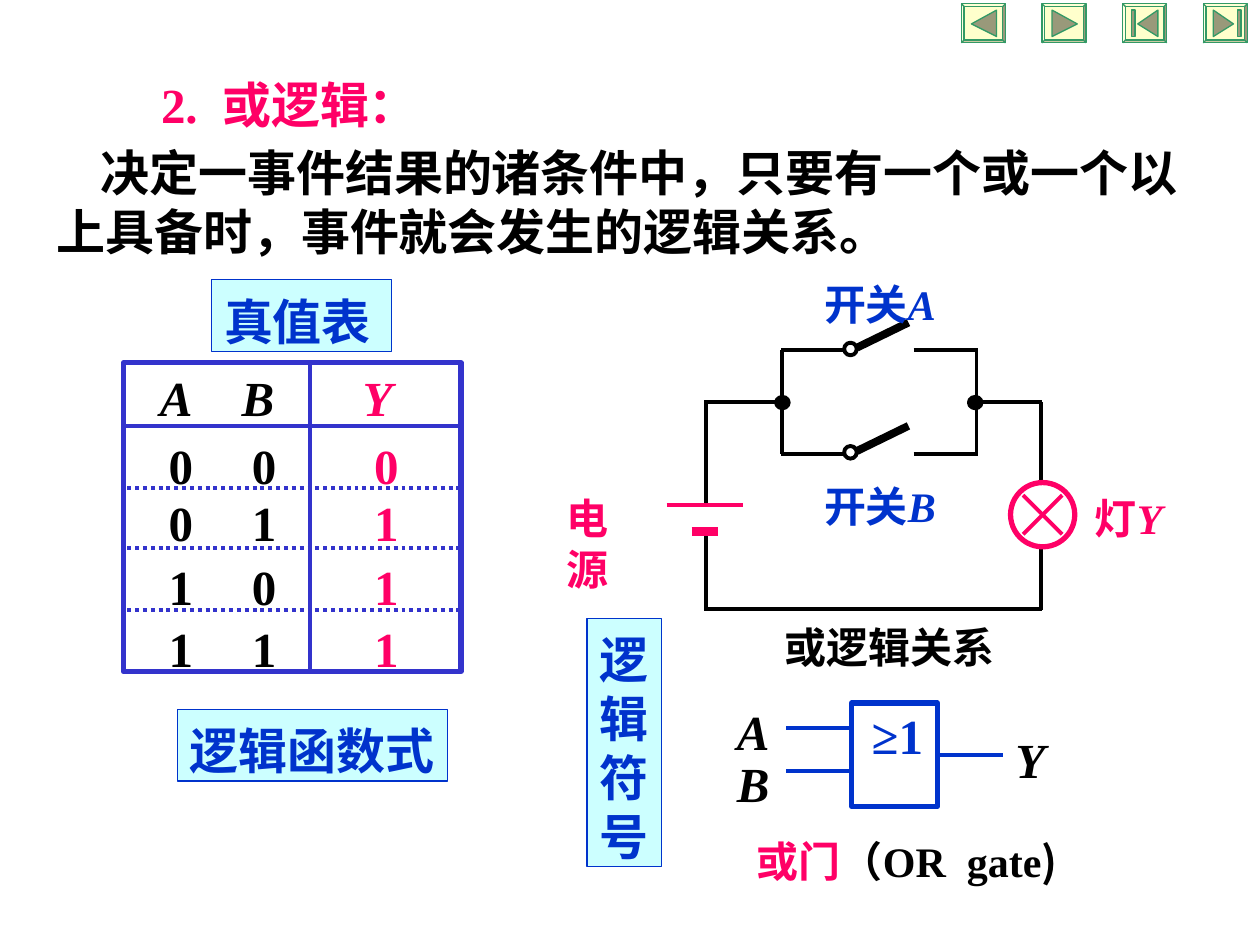
from lxml.etree import SubElement
from pptx import Presentation
from pptx.dml.color import RGBColor
from pptx.enum.dml import MSO_LINE
from pptx.enum.shapes import MSO_CONNECTOR, MSO_SHAPE
from pptx.enum.text import MSO_ANCHOR, PP_ALIGN
from pptx.oxml.ns import qn
from pptx.util import Inches, Pt

BLACK = RGBColor(0x00, 0x00, 0x00)
PINK = RGBColor(0xFF, 0x00, 0x66)
BLUE = RGBColor(0x00, 0x33, 0xCC)
GRID = RGBColor(0x33, 0x33, 0xCC)
CYAN = RGBColor(0xCC, 0xFF, 0xFF)
CREAM = RGBColor(0xFF, 0xFF, 0xCC)
OLIVE = RGBColor(0x99, 0x99, 0x7A)
GREEN = RGBColor(0x33, 0x99, 0x66)
SERIF = "Times New Roman"
SANS = "Noto Sans CJK SC"


class Page:
    def __init__(self, deck):
        self.shapes = deck.slides.add_slide(deck.slide_layouts[6]).shapes

    def paint(self, shape, fill, color, weight):
        shape.shadow.inherit = False
        if fill is None:
            shape.fill.background()
        else:
            shape.fill.solid()
            shape.fill.fore_color.rgb = fill
        shape.line.color.rgb = color
        shape.line.width = Pt(weight)
        return shape

    def shape(self, kind, left, top, width, height, color, weight, fill=None):
        shape = self.shapes.add_shape(
            kind, Inches(left), Inches(top), Inches(width), Inches(height))
        return self.paint(shape, fill, color, weight)

    def outline(self, points, color, weight, fill):
        start, *rest = [(Inches(x), Inches(y)) for x, y in points]
        builder = self.shapes.build_freeform(*start)
        builder.add_line_segments(rest, close=True)
        return self.paint(builder.convert_to_shape(), fill, color, weight)

    def line(self, x1, y1, x2, y2, color=BLACK, weight=2.25, dash=None):
        line = self.shapes.add_connector(
            MSO_CONNECTOR.STRAIGHT, Inches(x1), Inches(y1), Inches(x2), Inches(y2))
        line.line.color.rgb = color
        line.line.width = Pt(weight)
        if dash is not None:
            line.line.dash_style = dash
        SubElement(line._element.spPr, qn("a:effectLst"))

    def set_text(self, box, paragraphs, size, inset=True, wrap=False, indent=0):
        frame = box.text_frame
        frame.word_wrap = wrap
        frame.vertical_anchor = MSO_ANCHOR.TOP
        chinese = any(ord(letter) > 0x2E80
                      for spans in paragraphs for text, *_ in spans for letter in text)
        side, edge = (0.1, 0.05) if inset else (0, 0)
        frame.margin_left = frame.margin_right = Inches(side)
        frame.margin_top = Inches(edge + (0.04 if chinese else 0.01))
        frame.margin_bottom = 0
        for index, spans in enumerate(paragraphs):
            para = frame.add_paragraph() if index else frame.paragraphs[0]
            para.alignment = PP_ALIGN.LEFT
            para.line_spacing = Pt(size * 1.2)
            if indent:
                para._p.get_or_add_pPr().set("indent", str(Inches(indent)))
            for text, color, font, italic in spans:
                span = para.add_run()
                span.text = text
                span.font.size = Pt(size)
                span.font.bold = True
                span.font.italic = italic
                span.font.color.rgb = color
                span.font.name = font
                SubElement(span._r.get_or_add_rPr(), qn("a:ea"), typeface=SANS)

    def text(self, left, top, width, height, spans, size=28, **layout):
        box = self.shapes.add_textbox(
            Inches(left), Inches(top), Inches(width), Inches(height))
        self.set_text(box, [spans], size, **layout)

    def symbol(self, left, top, text, color=BLACK, italic=False, width=0.59):
        self.text(left, top, width, 0.57, [(text, color, SERIF, italic)], wrap=True)

    def label(self, left, top, width, height, lines):
        box = self.shape(MSO_SHAPE.RECTANGLE, left, top, width, height, BLUE, 0.75, CYAN)
        self.set_text(box, [[(text, BLUE, SERIF, False)] for text in lines], 28)

    def switch(self, level, caption_top, name):
        self.line(6.8, level - 0.02, 7.21, level - 0.22, weight=4.5)
        self.shape(MSO_SHAPE.OVAL, 6.7, level - 0.06, 0.1, 0.1, BLACK, 2.25)
        self.line(6.2, level, 6.7, level)
        self.line(7.25, level, 7.76, level)
        self.text(6.54, caption_top, 0.97, 0.4,
                  [("开关", BLUE, SERIF, False), (name, BLUE, SERIF, True)],
                  24, inset=False)

    def button(self, left, direction, bar):
        frame = self.shape(MSO_SHAPE.BEVEL, left, 0.03, 0.35, 0.31, GREEN, 0.75, CREAM)
        frame.adjustments[0] = 0.07
        center = left + 0.18
        back = center - direction * 0.1
        tip = center + direction * (0.06 if bar else 0.1)
        if bar:
            self.shape(MSO_SHAPE.RECTANGLE, center + direction * 0.1 - 0.01, 0.08,
                       0.03, 0.21, GREEN, 0.75, OLIVE)
        self.outline([(back, 0.08), (tip, 0.19), (back, 0.29)], GREEN, 0.75, OLIVE)


def draw_heading(page):
    page.text(1.18, 0.5, 2.33, 0.57, [("2.  或逻辑：", PINK, SERIF, False)])
    definition = "决定一事件结果的诸条件中，只要有一个或一个以上具备时，事件就会发生的逻辑关系。"
    page.text(0.35, 1.04, 9.23, 1.04, [(definition, BLACK, SANS, False)],
              wrap=True, indent=0.35)


def draw_circuit(page):
    page.switch(2.78, 2.17, "A")
    page.switch(3.6, 3.77, "B")
    wires = [
        (6.2, 3.19, 5.59, 3.19), (5.6, 3.19, 5.6, 4.01), (5.6, 4.22, 5.6, 4.83),
        (5.59, 4.83, 8.27, 4.83), (8.26, 4.84, 8.26, 4.36), (8.26, 3.81, 8.26, 3.19),
        (8.27, 3.19, 7.75, 3.19), (6.21, 2.78, 6.21, 3.6), (7.75, 2.78, 7.75, 3.6),
    ]
    for wire in wires:
        page.line(*wire)
    for left in (6.16, 7.69):
        page.shape(MSO_SHAPE.OVAL, left, 3.15, 0.1, 0.09, BLACK, 2.25, BLACK)
    page.line(5.29, 4.01, 5.9, 4.01, PINK, 2.5)
    page.line(5.49, 4.22, 5.7, 4.22, PINK, 4.88)
    page.line(8.12, 3.93, 8.43, 4.24, PINK)
    page.line(8.43, 3.93, 8.12, 4.24, PINK)
    page.shape(MSO_SHAPE.OVAL, 8.02, 3.83, 0.51, 0.51, PINK, 3)
    page.text(4.4, 3.82, 0.86, 0.5, [("电源", PINK, SERIF, False)], 24)
    page.text(8.69, 3.87, 0.75, 0.4,
              [("灯", PINK, SERIF, False), ("Y", PINK, SERIF, True)],
              24, inset=False, wrap=True)
    page.text(6.23, 4.89, 3.5, 0.4, [("或逻辑关系", BLACK, SANS, False)],
              24, inset=False, wrap=True)


def draw_truth_table(page):
    page.shape(MSO_SHAPE.RECTANGLE, 0.98, 2.88, 2.68, 2.45, GRID, 3)
    page.line(0.97, 3.38, 3.65, 3.38, GRID)
    page.line(2.46, 2.87, 2.46, 5.35, GRID)
    for level in (3.87, 4.35, 4.84):
        page.line(1.01, level, 3.67, level, GRID, dash=MSO_LINE.ROUND_DOT)
    for left, name, color in ((1.17, "A", BLACK), (1.82, "B", BLACK), (2.78, "Y", PINK)):
        page.symbol(left, 2.86, name, color, True, 0.48)
    for top, row in zip((3.4, 3.85, 4.36, 4.85), ("000", "011", "101", "111")):
        for left, digit, color in zip((1.24, 1.9, 2.87), row, (BLACK, BLACK, PINK)):
            page.symbol(left, top, digit, color)


def draw_gate(page):
    page.shape(MSO_SHAPE.RECTANGLE, 6.76, 5.58, 0.68, 0.82, BLUE, 3)
    for left, level in ((6.24, 5.78), (6.24, 6.12), (7.44, 5.99)):
        page.line(left, level, left + 0.52, level, BLUE)
    for left, top, name in ((5.75, 5.51, "A"), (5.75, 5.92, "B"), (7.96, 5.73, "Y")):
        page.symbol(left, top, name, italic=True, width=0.48)
    page.symbol(6.82, 5.54, "≥1", BLUE, width=0.64)
    page.text(5.91, 6.54, 2.66, 0.5, [
        ("或门", PINK, SANS, False), ("（", BLACK, SANS, False),
        ("OR  gate", BLACK, SERIF, False), (")", BLACK, SANS, False)], 24)


def main():
    deck = Presentation()
    deck.slide_width, deck.slide_height = Inches(10), Inches(7.5)
    page = Page(deck)
    draw_heading(page)
    draw_circuit(page)
    page.label(1.68, 2.22, 1.43, 0.57, ["真值表"])
    page.label(1.41, 5.63, 2.14, 0.57, ["逻辑函数式"])
    page.label(4.66, 4.91, 0.59, 1.97, "逻辑符号")
    draw_truth_table(page)
    draw_gate(page)
    buttons = ((-1, False), (1, False), (-1, True), (1, True))
    for index, (direction, bar) in enumerate(buttons):
        page.button(7.63 + index * 0.64, direction, bar)
    deck.save("out.pptx")


if __name__ == "__main__":
    main()
